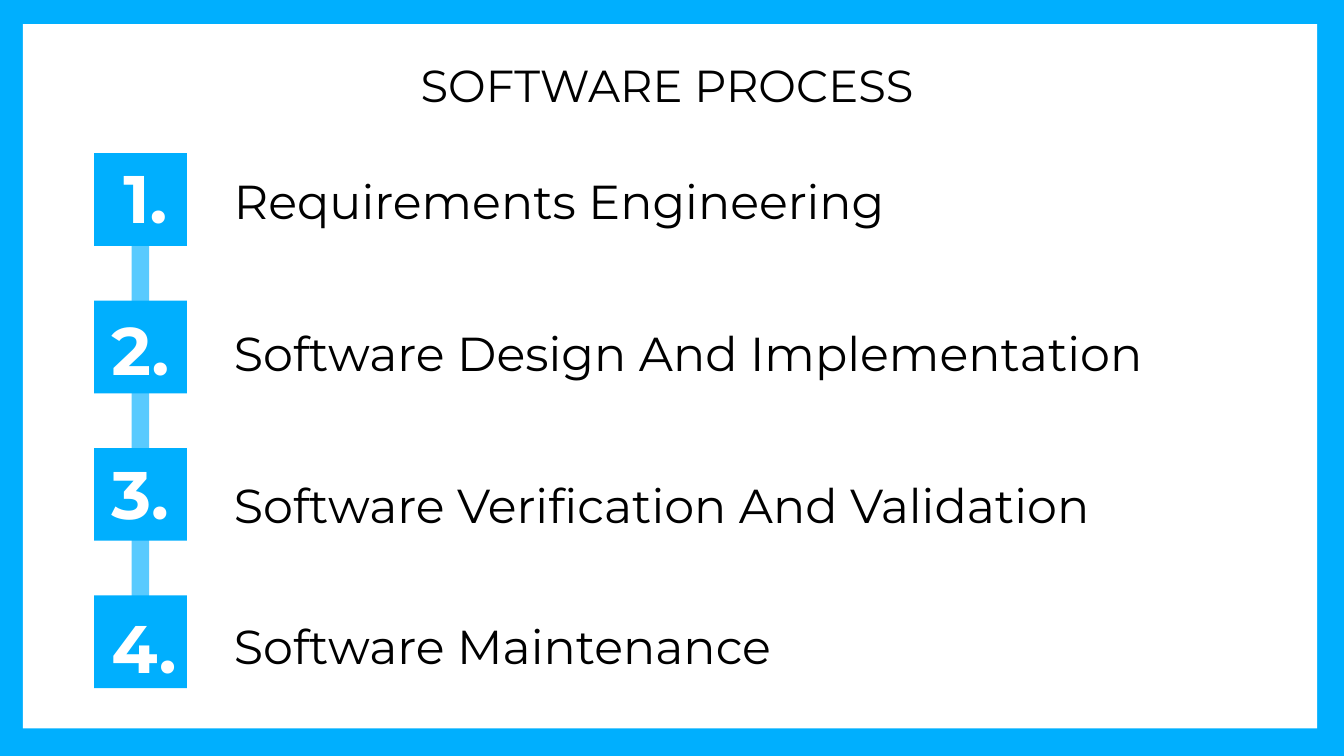
import dataclasses
import pptx
import pptx.dml.color
import pptx.enum.shapes
import pptx.enum.text
import pptx.oxml.ns
import pptx.util
import lxml.etree

Inches = pptx.util.Inches
Pt = pptx.util.Pt


@dataclasses.dataclass(frozen=True)
class Theme:
    font: str = "Montserrat"
    blue: str = "00AFFE"
    white: str = "FFFFFF"
    black: str = "000000"
    title: float = 24
    item: float = 25.5
    digit: float = 36


THEME = Theme()

# Label, number offset from its square, space before the label in points
STEPS = [
    ("Requirements Engineering", (0.12, -0.08), 0),
    ("Software Design And Implementation", (0.03, -0.04), 50.8),
    ("Software Verification And Validation", (0.03, -0.07), 50.8),
    ("Software Maintenance", (0.03, -0.02), 45),
]


def color(code):
    return pptx.dml.color.RGBColor.from_string(code)


def place(shape, box):
    shape.left, shape.top, shape.width, shape.height = map(Inches, box)


def block(slide, box, fill, alpha=None):
    """Add a plain filled rectangle, see-through if alpha is given."""
    kind = pptx.enum.shapes.MSO_SHAPE.RECTANGLE
    shape = slide.shapes.add_shape(kind, *map(Inches, box))
    shape.shadow.inherit = False
    shape.line.fill.background()
    shape.fill.solid()
    shape.fill.fore_color.rgb = color(fill)
    if alpha:
        tint = shape.element.spPr.find(".//" + pptx.oxml.ns.qn("a:srgbClr"))
        lxml.etree.SubElement(tint, pptx.oxml.ns.qn("a:alpha"), val=str(alpha * 1000))
    return shape


def setup(shape, wrap=True):
    """Give a text frame even insets and top alignment."""
    frame = shape.text_frame
    frame.word_wrap = wrap
    frame.auto_size = pptx.enum.text.MSO_AUTO_SIZE.NONE
    frame.vertical_anchor = pptx.enum.text.MSO_ANCHOR.TOP
    frame.margin_left = frame.margin_right = Inches(0.1)
    frame.margin_top = frame.margin_bottom = Inches(0.1)
    return frame


def write(para, text, size, ink, bold=False):
    para.alignment = pptx.enum.text.PP_ALIGN.LEFT
    run = para.add_run()
    run.text = text
    run.font.name = THEME.font
    run.font.size = Pt(size)
    run.font.bold = bold
    run.font.color.rgb = color(ink)


def panel(slide, box):
    """White sheet, sent behind everything else."""
    sheet = block(slide, box, THEME.white).element
    sheet.getparent().insert(2, sheet)


def heading(slide, box):
    title = slide.shapes.title
    place(title, box)
    write(setup(title).paragraphs[0], "SOFTWARE PROCESS", THEME.title, THEME.black)


def chain(slide, box):
    """Numbered squares, evenly spaced along a pale bar."""
    left, top, side, height = box
    pitch = (height - side) / (len(STEPS) - 1)
    block(slide, (left + 0.28, top + 0.35, 0.13, 3.4), THEME.blue, 65)
    for i in range(len(STEPS)):
        block(slide, (left, top + i * pitch, side, side), THEME.blue)
    for i, (_, (dx, dy), _) in enumerate(STEPS):
        spot = (left + dx, top + i * pitch + dy, side, 0.46)
        label = slide.shapes.add_textbox(*map(Inches, spot))
        para = setup(label, wrap=False).paragraphs[0]
        write(para, f"{i + 1}.", THEME.digit, THEME.white, bold=True)


def labels(slide, box):
    """Step names as one list without bullets."""
    body = slide.placeholders[1]
    place(body, box)
    frame = setup(body)
    for i, (name, _, gap) in enumerate(STEPS):
        para = frame.add_paragraph() if i else frame.paragraphs[0]
        para.space_before = Pt(gap)
        para.line_spacing = 1.0
        write(para, name, THEME.item, THEME.black)
        props = para._p.get_or_add_pPr()
        props.set("marL", "0")
        props.set("indent", "0")
        lxml.etree.SubElement(props, pptx.oxml.ns.qn("a:buNone"))


def main():
    deck = pptx.Presentation()
    deck.slide_width = Inches(10)
    deck.slide_height = deck.slide_width * 9 // 16
    slide = deck.slides.add_slide(deck.slide_layouts[1])
    slide.background.fill.solid()
    slide.background.fill.fore_color.rgb = color(THEME.blue)
    panel(slide, (0.17, 0.18, 9.63, 5.24))
    heading(slide, (3.03, 0.33, 4.36, 0.75))
    chain(slide, (0.7, 1.14, 0.69, 3.98))
    labels(slide, (1.64, 1.18, 7.79, 3.95))
    deck.save("out.pptx")


if __name__ == "__main__":
    main()
